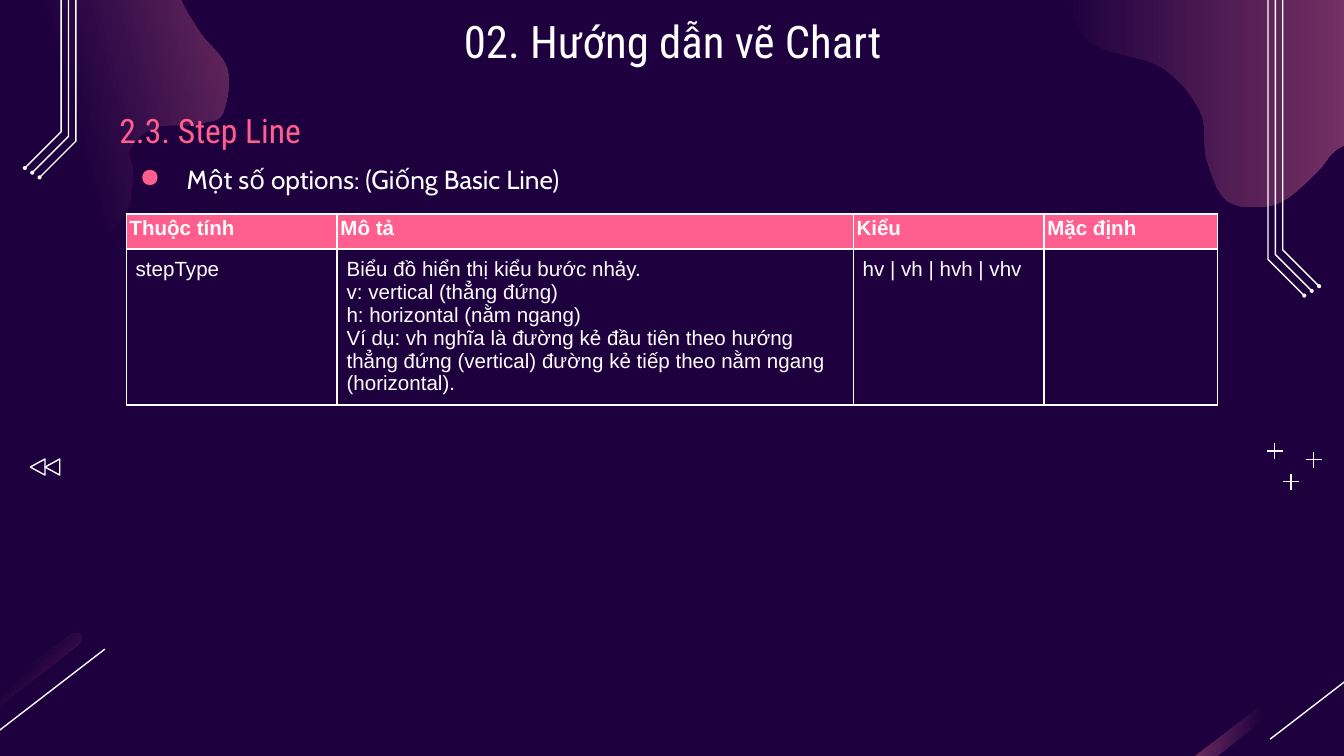
from dataclasses import dataclass

from pptx import Presentation
from pptx.dml.color import RGBColor
from pptx.enum.shapes import MSO_CONNECTOR, MSO_SHAPE
from pptx.enum.text import MSO_ANCHOR, MSO_AUTO_SIZE, PP_ALIGN
from pptx.oxml import parse_xml
from pptx.oxml.ns import nsdecls, qn
from pptx.util import Pt

STRAIGHT = MSO_CONNECTOR.STRAIGHT
OVAL, TRIANGLE = MSO_SHAPE.OVAL, MSO_SHAPE.ISOSCELES_TRIANGLE
TOP, BOTTOM = MSO_ANCHOR.TOP, MSO_ANCHOR.BOTTOM
NO_FIT = MSO_AUTO_SIZE.NONE
LEFT, CENTER = PP_ALIGN.LEFT, PP_ALIGN.CENTER


@dataclass(frozen=True)
class Theme:
    night: str = "1E003F"
    plum: str = "A64D79"
    pink: str = "FF5E8E"
    white: str = "FFFFFF"
    heading: str = "Roboto Condensed"
    body: str = "Cabin"
    grid: str = "Arial"
    title_size: float = 24
    section_size: float = 18
    body_size: float = 14
    grid_size: float = 11
    stroke: float = 0.75


THEME = Theme()
UNIT = 0.72

LEFT_BLOB = [
    (48, 190), (90, 165), (99, 131), (97, 111), (115, 95), (142, 93), (153, 91),
    (166, 84), (169, 51), (148, 23), (133, -7), (143, -31), (159, -39), (190, -41),
    (223, -42), (252, -58), (258, -87), (233, -134), (167, -151), (70, -95),
    (54, -90), (-47, -82), (-91, -74), (-128, -61), (-174, -30), (-194, 22),
    (-156, 80), (-88, 99), (-46, 106), (-13, 133), (-3, 166),
]
RIGHT_BLOB = [
    (1125, 38), (1105, -35), (1058, -77), (989, -84), (929, -113), (897, -141),
    (852, -143), (819, -129), (793, -78), (789, -38), (790, -18), (809, 30),
    (864, 50), (893, 83), (898, 119), (914, 150), (949, 152), (978, 130),
    (995, 111), (1018, 106), (1052, 138), (1117, 88),
]
STRIPE = [(56, 471), (60, 472), (61, 476), (59, 479), (-81, 588), (-86, 589),
          (-88, 587), (-89, 584), (-87, 580), (53, 472)]
PLUS_CENTERS = [(960.5, 358.5), (977.5, 342), (948.5, 335.5)]

COLUMNS = [113, 276.5, 102.2, 92.9]
ROWS = [18.8, 83.6]
CELLS = [
    [["Thuộc tính"], ["Mô tả"], ["Kiểu"], ["Mặc định"]],
    [["stepType"],
     ["Biểu đồ hiển thị kiểu bước nhảy.",
      "v: vertical (thẳng đứng)",
      "h: horizontal (nằm ngang)",
      "Ví dụ: vh nghĩa là đường kẻ đầu tiên theo hướng thẳng đứng (vertical) "
      "đường kẻ tiếp theo nằm ngang (horizontal)."],
     ["hv | vh | hvh | vhv"], []],
]


def rgb(value):
    return RGBColor.from_string(value)


def units(*values):
    return [Pt(value * UNIT) for value in values]


def apply(target, values):
    for name, value in values.items():
        setattr(target, name, value)


def write(para, text, color, **font):
    span = para.add_run()
    span.text = text
    apply(span.font, font)
    span.font.color.rgb = rgb(color)


def set_insets(target, amount):
    apply(target, dict.fromkeys(
        ("margin_left", "margin_top", "margin_right", "margin_bottom"), Pt(amount)))


def fill_text(box, area, text, color, font, frame_format, para_format):
    apply(box, dict(zip(("left", "top", "width", "height"), map(Pt, area))))
    frame = box.text_frame
    apply(frame, {"word_wrap": True, "auto_size": NO_FIT, **frame_format})
    set_insets(frame, 7.2)
    para = frame.paragraphs[0]
    apply(para, para_format)
    write(para, text, color, **font)
    return para


def add_bullet(para, color):
    props = para._p.get_or_add_pPr()
    apply_indent = {"marL": Pt(36), "indent": Pt(-25.2)}
    for name, value in apply_indent.items():
        props.set(name, str(value))
    props.append(parse_xml(
        f'<a:buClr {nsdecls("a")}><a:srgbClr val="{color}"/></a:buClr>'))
    props.append(parse_xml(f'<a:buChar {nsdecls("a")} char="●"/>'))


def smooth_loop(points, steps=8):
    count = len(points)
    curve = []
    for index in range(count):
        around = [points[(index + shift) % count] for shift in (-1, 0, 1, 2)]
        for step in range(steps):
            t = step / steps
            curve.append(tuple(
                b + 0.5 * t * (c - a + t * (2 * a - 5 * b + 4 * c - d
                                            + t * (3 * (b - c) + d - a)))
                for a, b, c, d in zip(*around)))
    return curve


def add_outline(page, points, close=True):
    corners = [units(*point) for point in points]
    builder = page.shapes.build_freeform(*corners[0], scale=1.0)
    builder.add_line_segments(corners[1:], close=close)
    shape = builder.convert_to_shape()
    shape.shadow.inherit = False
    shape.fill.background()
    return shape


def add_glow(page, points, stops, direction):
    shape = add_outline(page, points)
    shape.line.fill.background()
    marks = "".join(f'<a:gs pos="{place * 1000}"><a:srgbClr val="{color}"/></a:gs>'
                    for place, color in stops)
    gradient = parse_xml(f'<a:gradFill {nsdecls("a")} rotWithShape="1">'
                         f'<a:gsLst>{marks}</a:gsLst>{direction}</a:gradFill>')
    props = shape._element.spPr
    props.replace(props.find(qn("a:noFill")), gradient)


def linear(degrees):
    return f'<a:lin ang="{int(degrees * 60000)}" scaled="0"/>'


def set_stroke(shape):
    shape.line.color.rgb = rgb(THEME.white)
    shape.line.width = Pt(THEME.stroke)


def add_line(page, *ends):
    line = page.shapes.add_connector(STRAIGHT, *units(*ends))
    set_stroke(line)
    line._element.spPr.append(parse_xml(f'<a:effectLst {nsdecls("a")}/>'))


def add_rails(page, mirrored):
    for index in range(3):
        x, bend = 954.5 - 5.5 * index, 186 + 3.5 * index
        points = [(x, -119), (x, bend), (x + 27, bend + 27)]
        if mirrored:
            points = [(1000 - px, py - 88) for px, py in points]
        set_stroke(add_outline(page, points, close=False))
        end_x, end_y = points[-1]
        dot = page.shapes.add_shape(OVAL, *units(end_x - 1.5, end_y - 1.5, 3, 3))
        dot.shadow.inherit = False
        dot.fill.solid()
        dot.fill.fore_color.rgb = rgb(THEME.white)
        dot.line.fill.background()


def add_decor(page):
    fade = [(0, THEME.night), (100, THEME.plum)]
    late_fade = [(0, THEME.night), (50, THEME.night), (100, THEME.plum)]
    corner = '<a:path path="circle"><a:fillToRect r="100000" b="100000"/></a:path>'
    add_glow(page, smooth_loop(LEFT_BLOB), late_fade, linear(345))
    add_glow(page, smooth_loop(RIGHT_BLOB), fade, linear(0))
    for shift, direction in ((0, corner), (954, linear(187.3))):
        add_glow(page, [(x + shift, y) for x, y in STRIPE], late_fade, direction)
        add_line(page, 78 + shift, 483, shift - 9, 550)
    for mirrored in (False, True):
        add_rails(page, mirrored)
    for x, y in PLUS_CENTERS:
        add_line(page, x - 6, y, x + 6, y)
        add_line(page, x, y - 6, x, y + 6)
    for x in (22, 33):
        arrow = page.shapes.add_shape(TRIANGLE, *units(x, 342, 12, 11))
        arrow.rotation = 270
        arrow.shadow.inherit = False
        arrow.fill.background()
        set_stroke(arrow)


def add_borders(cell):
    props = cell._tc.get_or_add_tcPr()
    for side in "LRTB":
        props.append(parse_xml(
            f'<a:ln{side} {nsdecls("a")} w="{Pt(1)}"><a:solidFill>'
            f'<a:srgbClr val="{THEME.white}"/></a:solidFill></a:ln{side}>'))


def fill_cell(cell, lines, header):
    add_borders(cell)
    set_insets(cell, 1.7 if header else 5)
    if header:
        cell.fill.solid()
        cell.fill.fore_color.rgb = rgb(THEME.pink)
    else:
        cell.fill.background()
    frame = cell.text_frame
    for index, text in enumerate(lines):
        para = frame.add_paragraph() if index else frame.paragraphs[0]
        write(para, text, THEME.white, name=THEME.grid,
              size=Pt(THEME.grid_size), bold=header)


def add_options_table(page):
    table = page.shapes.add_table(
        len(ROWS), len(COLUMNS), Pt(67.7), Pt(114.5),
        Pt(sum(COLUMNS)), Pt(sum(ROWS))).table
    table.horz_banding = False
    for column, width in zip(table.columns, COLUMNS):
        column.width = Pt(width)
    for index, height in enumerate(ROWS):
        table.rows[index].height = Pt(height)
        for cell, lines in zip(table.rows[index].cells, CELLS[index]):
            fill_cell(cell, lines, index == 0)


def add_text(page, area, *details):
    return fill_text(page.shapes.add_textbox(*map(Pt, area)), area, *details)


def main():
    deck = Presentation()
    deck.slide_width, deck.slide_height = Pt(720), Pt(405)
    page = deck.slides.add_slide(deck.slide_layouts[5])
    page.background.fill.solid()
    page.background.fill.fore_color.rgb = rgb(THEME.night)
    title = page.shapes.title
    add_decor(page)
    page.shapes._spTree.append(title._element)
    fill_text(title, (56.9, 0, 607, 45.4), "02. Hướng dẫn vẽ Chart", THEME.white,
              {"name": THEME.heading, "size": Pt(THEME.title_size)},
              {"vertical_anchor": TOP}, {"alignment": CENTER})
    add_text(page, (56.9, 55.4, 505.4, 32.4), "2.3. Step Line", THEME.pink,
             {"name": THEME.heading, "size": Pt(THEME.section_size)},
             {"vertical_anchor": BOTTOM},
             {"alignment": LEFT, "line_spacing": 1.15, "space_after": Pt(12)})
    options = add_text(page, (56.9, 72, 584.6, 36),
                       "Một số options: (Giống Basic Line)", THEME.white,
                       {"name": THEME.body, "size": Pt(THEME.body_size)},
                       {"vertical_anchor": TOP},
                       {"alignment": LEFT, "line_spacing": 1.5})
    add_bullet(options, THEME.pink)
    add_options_table(page)
    deck.save("out.pptx")


if __name__ == "__main__":
    main()
